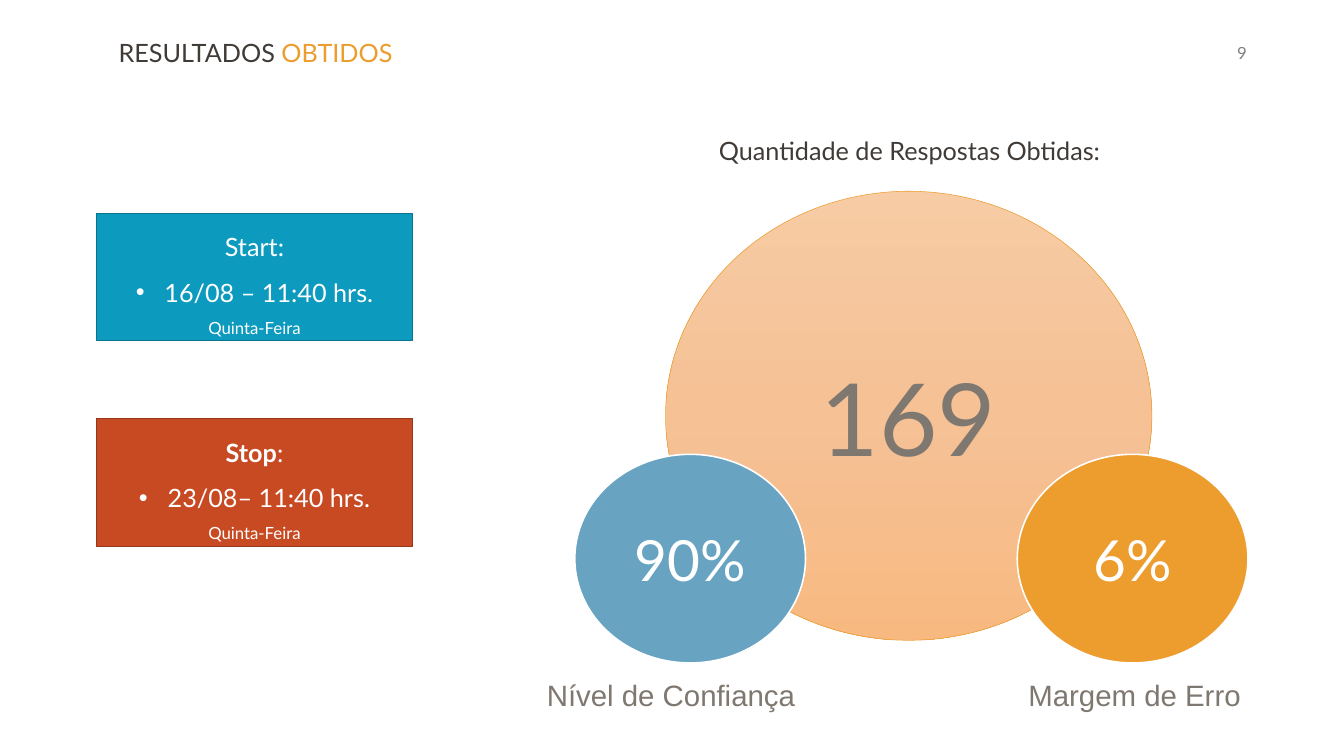
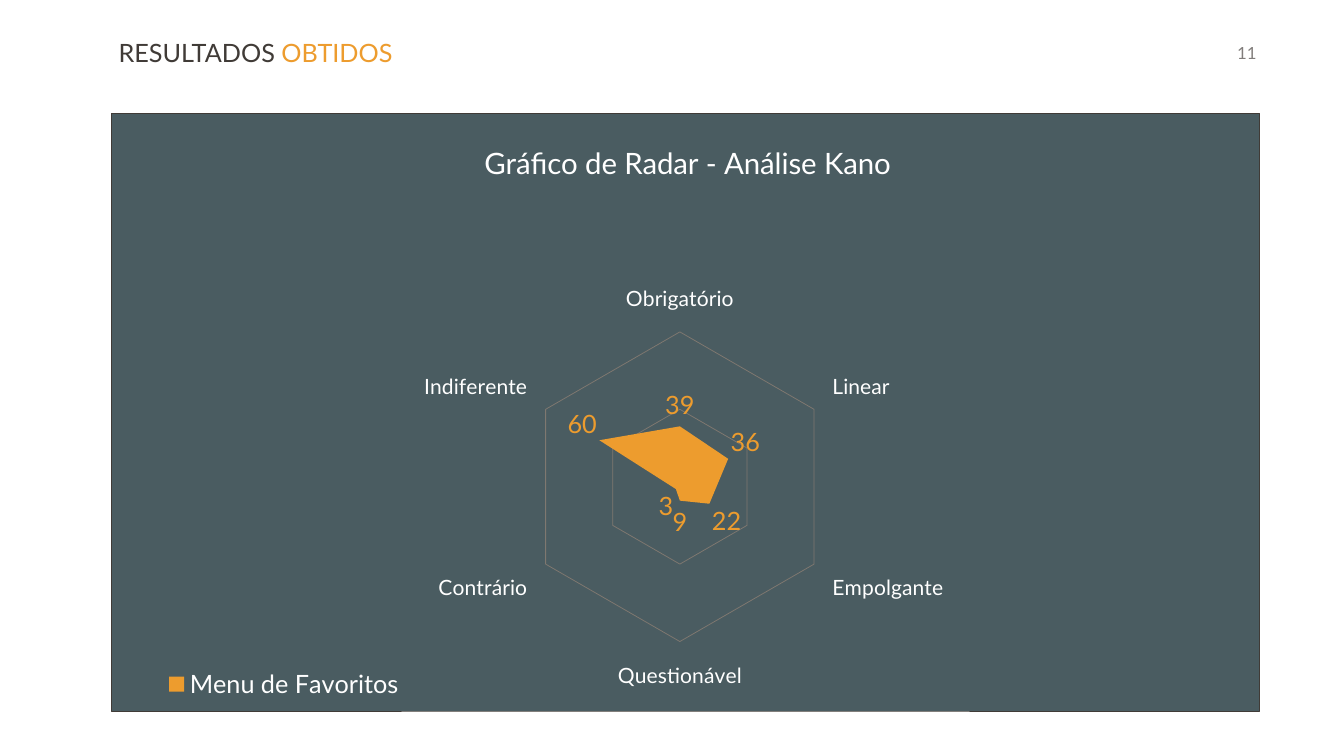
"""Build the two survey result slides: response totals and the Kano radar chart."""
from dataclasses import dataclass
from typing import Any, NamedTuple

from lxml import etree
from pptx import Presentation, util as u
from pptx.chart import data as chart_data
from pptx.dml.color import RGBColor
from pptx.enum import chart as charts, shapes, text
from pptx.oxml import ns, parse_xml

PX = 9144
FONT, CAPTION_FONT = "Lato", "Arial"
WHITE = RGBColor(0xFF, 0xFF, 0xFF)
INK = RGBColor(0x40, 0x3B, 0x37)
GREY = RGBColor(0x7F, 0x78, 0x70)
ORANGE = RGBColor(0xED, 0x9C, 0x2E)
BLUE = RGBColor(0x68, 0xA3, 0xC2)
TEAL, TEAL_EDGE = RGBColor(0x0C, 0x9A, 0xBE), RGBColor(0x09, 0x72, 0x8D)
RUST, RUST_EDGE = RGBColor(0xC8, 0x4A, 0x23), RGBColor(0x94, 0x37, 0x1A)
SLATE = RGBColor(0x4A, 0x5C, 0x61)
PEACH = ((0, RGBColor(0xF7, 0xCB, 0xA4)), (50, RGBColor(0xF5, 0xC1, 0x95)),
         (100, RGBColor(0xF8, 0xB9, 0x81)))
CENTER = text.PP_ALIGN.CENTER
MIDDLE = text.MSO_ANCHOR.MIDDLE


class Box(NamedTuple):
    left: int
    top: int
    width: int
    height: int

    def emu(self) -> list[int]:
        return [side * PX for side in self]


@dataclass
class Run:
    words: str
    size: int
    color: RGBColor
    bold: bool = False
    font: str = FONT


@dataclass
class Para:
    runs: list[Run]
    align: Any = CENTER
    spacing: float | None = None
    bullet: bool = False


@dataclass
class Card:
    top: int
    fill: RGBColor
    edge: RGBColor
    heading: list[Run]
    moment: str


@dataclass
class Bubble:
    box: Box
    fill: RGBColor
    value: str
    caption: str
    caption_box: Box


CARDS = [
    Card(282, TEAL, TEAL_EDGE, [Run("Start:", 24, WHITE)], "16/08 – 11:40 hrs."),
    Card(554, RUST, RUST_EDGE, [Run("Stop", 24, WHITE, True), Run(":", 24, WHITE)],
         "23/08– 11:40 hrs."),
]
BUBBLES = [
    Bubble(Box(1345, 601, 305, 276), ORANGE, "6%", "Margem de Erro",
           Box(1336, 877, 328, 89)),
    Bubble(Box(760, 601, 305, 276), BLUE, "90%", "Nível de Confiança",
           Box(696, 877, 382, 89)),
]
KANO = {"Obrigatório": 39, "Linear": 36, "Empolgante": 22,
        "Questionável": 9, "Contrário": 3, "Indiferente": 60}


def apply(target: Any, values: dict[str, Any]) -> None:
    for name, value in values.items():
        setattr(target, name, value)


def style_font(font: Any, size: int, color: RGBColor, bold: bool = False,
               name: str = FONT) -> None:
    apply(font, {"name": name, "size": u.Pt(size), "bold": bold})
    font.color.rgb = color


def add_bullet(paragraph: Any) -> None:
    props = paragraph._p.get_or_add_pPr()
    props.set("marL", str(38 * PX))
    props.set("indent", str(-38 * PX))
    etree.SubElement(props, ns.qn("a:buFont")).set("typeface", "Arial")
    etree.SubElement(props, ns.qn("a:buChar")).set("char", "•")


def write(frame: Any, paras: list[Para], **frame_values: Any) -> None:
    apply(frame, {"word_wrap": True, **frame_values})
    for index, para in enumerate(paras):
        paragraph = frame.add_paragraph() if index else frame.paragraphs[0]
        apply(paragraph, {"alignment": para.align, "line_spacing": para.spacing})
        if para.bullet:
            add_bullet(paragraph)
        for part in para.runs:
            run = paragraph.add_run()
            run.text = part.words
            style_font(run.font, part.size, part.color, part.bold, part.font)


def add_text(slide: Any, box: Box, paras: list[Para], **frame_values: Any) -> Any:
    label = slide.shapes.add_textbox(*box.emu())
    write(label.text_frame, paras, **frame_values)
    return label


def add_panel(slide: Any, kind: Any, box: Box, fill: RGBColor | None, edge: RGBColor,
              edge_width: float, paras: list[Para]) -> Any:
    panel = slide.shapes.add_shape(kind, *box.emu())
    panel.shadow.inherit = False
    if fill is not None:
        panel.fill.solid()
        panel.fill.fore_color.rgb = fill
    panel.line.color.rgb = edge
    panel.line.width = u.Pt(edge_width)
    write(panel.text_frame, paras, vertical_anchor=MIDDLE)
    return panel


def shade(panel: Any, stops: tuple[tuple[int, RGBColor], ...]) -> None:
    panel.fill.gradient()
    panel.fill.gradient_angle = 270
    stop_list = next(panel._element.iter(ns.qn("a:gsLst")))
    for old in list(stop_list):
        stop_list.remove(old)
    for percent, color in stops:
        stop = etree.SubElement(stop_list, ns.qn("a:gs"))
        stop.set("pos", str(percent * 1000))
        etree.SubElement(stop, ns.qn("a:srgbClr")).set("val", str(color))


def add_result_slide(deck: Any, number: int) -> Any:
    slide = deck.slides.add_slide(deck.slide_layouts[6])
    left = text.PP_ALIGN.LEFT
    page = add_text(slide, Box(1626, 52, 47, 37), [Para([Run(str(number), 16, INK)], left)],
                    word_wrap=False, auto_size=text.MSO_AUTO_SIZE.SHAPE_TO_FIT_TEXT)
    page_color = next(page._element.iter(ns.qn("a:srgbClr")))
    etree.SubElement(page_color, ns.qn("a:alpha")).set("val", "65000")
    add_text(slide, Box(147, 44, 1436, 51),
             [Para([Run("RESULTADOS ", 24, INK), Run("OBTIDOS", 24, ORANGE)], left)])
    return slide


def build_totals(deck: Any) -> None:
    slide = add_result_slide(deck, 9)
    for card in CARDS:
        add_panel(slide, shapes.MSO_SHAPE.RECTANGLE, Box(128, card.top, 417, 169),
                  card.fill, card.edge, 1,
                  [Para(card.heading, spacing=1.5),
                   Para([Run(card.moment, 24, WHITE)], spacing=1.5, bullet=True),
                   Para([Run("Quinta-Feira", 16, WHITE)], spacing=1.5)])
    add_text(slide, Box(900, 174, 605, 385),
             [Para([Run("Quantidade de Respostas Obtidas:", 24, INK)])])
    oval = shapes.MSO_SHAPE.OVAL
    total = add_panel(slide, oval, Box(880, 253, 643, 594), None, ORANGE, 0.5,
                      [Para([Run("169", 96, GREY)])])
    shade(total, PEACH)
    for bubble in BUBBLES:
        add_panel(slide, oval, bubble.box, bubble.fill, WHITE, 1.5,
                  [Para([Run(bubble.value, 54, WHITE)])])
        add_text(slide, bubble.caption_box,
                 [Para([Run(bubble.caption, 28, GREY, font=CAPTION_FONT)], spacing=0.9)],
                 vertical_anchor=MIDDLE)


def place(part: Any, index: int, inner: bool = False, **fractions: float) -> None:
    for old in part.findall(ns.qn("c:layout")):
        part.remove(old)
    layout = etree.Element(ns.qn("c:layout"))
    manual = etree.SubElement(layout, ns.qn("c:manualLayout"))
    settings = {"layoutTarget": "inner"} if inner else {}
    settings |= {"xMode": "edge", "yMode": "edge", **fractions}
    for name, value in settings.items():
        etree.SubElement(manual, ns.qn(f"c:{name}")).set("val", str(value))
    part.insert(index, layout)


def build_radar(deck: Any) -> None:
    slide = add_result_slide(deck, 11)
    kano = chart_data.CategoryChartData()
    kano.categories = list(KANO)
    kano.add_series("Menu de Favoritos", list(KANO.values()))
    radar = slide.shapes.add_chart(charts.XL_CHART_TYPE.RADAR_FILLED,
                                   *Box(147, 149, 1519, 792).emu(), kano).chart
    style_font(radar.font, 24, INK)
    apply(radar, {"has_title": True, "has_legend": True})
    write(radar.chart_title.text_frame,
          [Para([Run("Gráfico de Radar - Análise Kano", 28, WHITE)])])
    apply(radar.legend, {"position": charts.XL_LEGEND_POSITION.TOP,
                         "include_in_layout": False})
    style_font(radar.legend.font, 24, WHITE)

    plot = radar.plots[0]
    plot.vary_by_categories = False
    favorites = plot.series[0]
    favorites.format.fill.solid()
    favorites.format.fill.fore_color.rgb = ORANGE
    labels = favorites.data_labels
    labels.show_value = True
    style_font(labels.font, 24, ORANGE)

    no_tick = charts.XL_TICK_MARK.NONE
    answers, scale = radar.category_axis, radar.value_axis
    apply(answers, {"major_tick_mark": no_tick, "minor_tick_mark": no_tick,
                    "has_major_gridlines": False})
    style_font(answers.tick_labels.font, 20, WHITE)
    answers.format.line.fill.background()
    apply(scale, {"minimum_scale": 0, "maximum_scale": 100, "major_unit": 50,
                  "has_major_gridlines": True, "visible": False})
    grid = scale.major_gridlines.format.line
    grid.color.rgb = GREY
    grid.width = u.Pt(0.75)

    body = radar.element.find(ns.qn("c:chart"))
    place(body.find(ns.qn("c:title")), 1, x=0.32, y=0.04)
    place(body.find(ns.qn("c:plotArea")), 0, inner=True, x=0.36, y=0.36, w=0.27, h=0.53)
    place(body.find(ns.qn("c:legend")), 1, x=0.04, y=0.92, w=0.22, h=0.07)
    body.addnext(parse_xml(
        f'<c:spPr {ns.nsdecls("c", "a")}>'
        f'<a:solidFill><a:srgbClr val="{SLATE}"/></a:solidFill>'
        f'<a:ln w="{u.Pt(0.75)}"><a:solidFill><a:srgbClr val="{INK}"/></a:solidFill></a:ln>'
        '</c:spPr>'))


def main() -> None:
    deck = Presentation()
    apply(deck, {"slide_width": 1777 * PX, "slide_height": 1000 * PX})
    build_totals(deck)
    build_radar(deck)
    deck.save("out.pptx")


if __name__ == "__main__":
    main()
